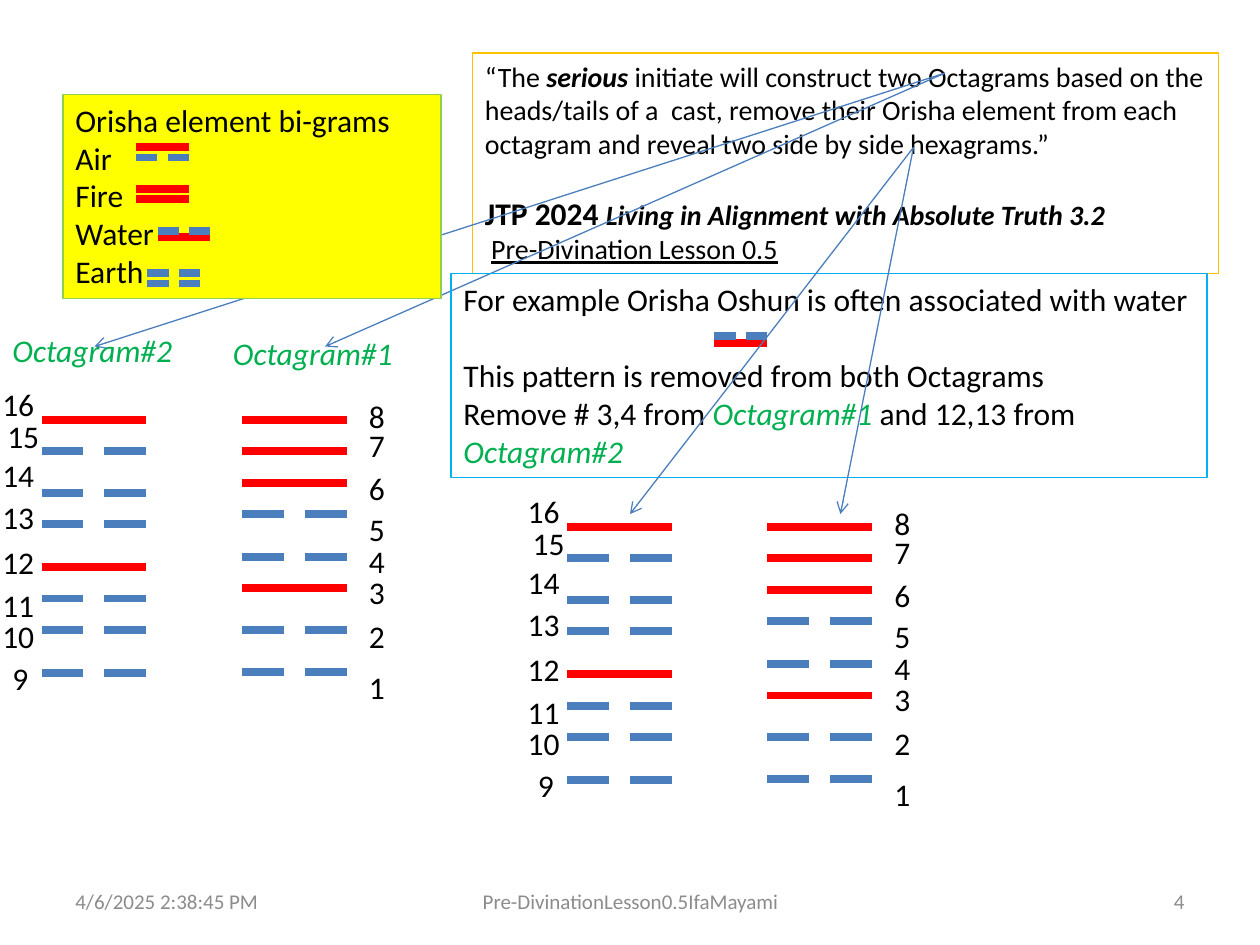
import pptx
import pptx.util
import pptx.dml.color
import pptx.enum.shapes
import pptx.enum.text
import pptx.oxml
import pptx.oxml.ns
from pptx.util import Inches

RGBColor = pptx.dml.color.RGBColor
Align = pptx.enum.text.PP_ALIGN
Anchor = pptx.enum.text.MSO_ANCHOR

BLACK = RGBColor(0x00, 0x00, 0x00)
GREY = RGBColor(0x8C, 0x8C, 0x8C)
RED = RGBColor(0xFF, 0x00, 0x00)
BLUE = RGBColor(0x4B, 0x7E, 0xBC)
GREEN = RGBColor(0x00, 0xB0, 0x50)
YELLOW = RGBColor(0xFF, 0xFF, 0x00)
LIME = RGBColor(0x92, 0xD0, 0x50)
AMBER = RGBColor(0xFF, 0xC0, 0x00)
SKY = RGBColor(0x00, 0xB0, 0xF0)
FONT = "Calibri"

BOLD_ITALIC = {"bold": True, "italic": True}
TERM = {"color": GREEN, "italic": True}

# Each paragraph is a list of (text, format) runs
QUOTE = [
    [("“The ", {}), ("serious", BOLD_ITALIC),
     (" initiate will construct two Octagrams based on the heads/tails of a  cast, "
      "remove their Orisha element from each octagram and reveal two side by side "
      "hexagrams.”", {})],
    [("JTP 2024 ", {"size": 18, "bold": True}),
     ("Living in Alignment with Absolute Truth 3.2", BOLD_ITALIC)],
    [(" ", BOLD_ITALIC), ("Pre-Divination Lesson 0.5", {"underline": True})],
]
ELEMENTS = [[(line, {})] for line in
            ("Orisha element bi-grams", "Air", "Fire", "Water", "Earth")]
EXAMPLE = [
    [("For example Orisha Oshun is often associated with water", {})],
    [("This pattern is removed from both Octagrams", {})],
    [("Remove # 3,4 from ", {}), ("Octagram#1", TERM),
     (" and 12,13 from ", {}), ("Octagram#2", TERM)],
]

# Bars are (top, broken); the red bar of water lies beneath the blue one
BIGRAMS = [
    (1.08, [(1.25, True), (1.17, False)]),
    (1.08, [(1.58, False), (1.5, False)]),
    (1.25, [(1.88, False), (1.83, True)]),
    (1.17, [(2.25, True), (2.17, True)]),
]
EXAMPLE_BIGRAM = (5.67, [(2.72, False), (2.67, True)])
BIGRAM_WIDTH, OCTAGRAM_WIDTH = 0.42, 0.83

# Rows are (number, bar height, broken, label left, label top)
OCTAGRAM_2 = (0.33, [
    (16, 3.33, False, -0.08, 3.01),
    (15, 3.58, True, -0.04, 3.26),
    (14, 3.91, True, -0.08, 3.57),
    (13, 4.16, True, -0.08, 3.9),
    (12, 4.5, False, -0.08, 4.26),
    (11, 4.75, True, -0.08, 4.6),
    (10, 5, True, -0.08, 4.85),
    (9, 5.34, True, 0, 5.18),
])
OCTAGRAM_1 = (1.92, [
    (8, 3.33, False, 2.83, 3.1),
    (7, 3.58, False, 2.83, 3.33),
    (6, 3.83, False, 2.83, 3.67),
    (5, 4.08, True, 2.83, 4),
    (4, 4.42, True, 2.83, 4.25),
    (3, 4.67, False, 2.83, 4.5),
    (2, 5, True, 2.83, 4.85),
    (1, 5.33, True, 2.83, 5.25),
])
OCTAGRAM_SHIFTS = [(0, 0), (4.17, 0.85)]

TITLE_ARROWS = [((7.5, 0.58), (0.75, 2.75)), ((7.5, 0.58), (2.58, 2.75))]
HEXAGRAM_ARROWS = [((7.25, 1.17), (6.67, 4.08)), ((7.25, 1.17), (5, 4.08))]

FOOTERS = [
    ("4/6/2025 2:38:45 PM", 0.5, 2.33, Align.LEFT),
    ("Pre-DivinationLesson0.5IfaMayami", 3.42, 3.17, Align.CENTER),
    ("4", 7.17, 2.33, Align.RIGHT),
]

prs = pptx.Presentation()
prs.slide_width, prs.slide_height = Inches(10), Inches(7.5)
shapes = prs.slides.add_slide(prs.slide_layouts[6]).shapes


def add_run(paragraph, text, size=18, color=BLACK, bold=False, italic=False,
            underline=False):
    run = paragraph.add_run()
    run.text = text
    font = run.font
    font.name, font.size, font.color.rgb = FONT, pptx.util.Pt(size), color
    font.bold, font.italic, font.underline = bold, italic, underline


def write(shape, paragraphs, size=18, align=Align.LEFT, anchor=Anchor.TOP,
          wrap=True, gaps=None):
    """Fill shape with paragraphs of runs; gaps maps paragraph index to points before."""
    frame = shape.text_frame
    frame.word_wrap, frame.vertical_anchor = wrap, anchor
    for i, runs in enumerate(paragraphs):
        paragraph = frame.add_paragraph() if i else frame.paragraphs[0]
        paragraph.alignment = align
        if gaps and i in gaps:
            paragraph.space_before = pptx.util.Pt(gaps[i])
        for text, style in runs:
            add_run(paragraph, text, **{"size": size, **style})


def add_label(text, left, top, width, style=None, **layout):
    label = shapes.add_textbox(*map(Inches, (left, top, width, 0.4)))
    write(label, [[(text, style or {})]], **layout)


def add_box(paragraphs, area, outline, fill=None, **layout):
    box = shapes.add_shape(pptx.enum.shapes.MSO_SHAPE.RECTANGLE, *map(Inches, area))
    box.shadow.inherit = False
    if fill is None:
        box.fill.background()
    else:
        box.fill.solid()
        box.fill.fore_color.rgb = fill
    box.line.color.rgb, box.line.width = outline, pptx.util.Pt(0.75)
    write(box, paragraphs, **layout)


def add_line(start, end, color=BLUE, width=4.5, arrow=False):
    line = shapes.add_connector(pptx.enum.shapes.MSO_CONNECTOR.STRAIGHT,
                                *map(Inches, (*start, *end)))
    line.line.color.rgb, line.line.width = color, pptx.util.Pt(width)
    properties = line._element.spPr
    qn = pptx.oxml.ns.qn
    if arrow:
        head = properties.find(qn("a:ln")).makeelement(qn("a:tailEnd"), {"type": "arrow"})
        properties.find(qn("a:ln")).append(head)
    properties.append(properties.makeelement(qn("a:effectLst"), {}))


def add_bar(left, top, width, broken):
    """A whole red bar, or two blue pieces of two fifths each."""
    piece = 0.4 * width if broken else width
    starts = (left, left + width - piece) if broken else (left,)
    for start in starts:
        add_line((start, top), (start + piece, top), BLUE if broken else RED)


def add_bigram(left, bars):
    for top, broken in bars:
        add_bar(left, top, BIGRAM_WIDTH, broken)


def add_octagram(left, rows, dx, dy):
    for number, top, broken, label_left, label_top in rows:
        add_bar(left + dx, top + dy, OCTAGRAM_WIDTH, broken)
        add_label(str(number), label_left + dx, label_top + dy,
                  0.46 if number > 9 else 0.33, wrap=False)


add_box(QUOTE, (3.75, 0.42, 5.92, 1.75), AMBER, size=16, gaps={1: 19.5})
for start, end in TITLE_ARROWS:
    add_line(start, end, width=0.75, arrow=True)
add_label("Octagram#1", 1.75, 2.6, 1.92, TERM)
add_label("Octagram#2", 0, 2.58, 1.92, TERM)

add_box(ELEMENTS, (0.5, 0.75, 3, 1.62), LIME, fill=YELLOW)
add_box(EXAMPLE, (3.58, 2.17, 6, 1.62), SKY, gaps={1: 22})
for bigram in [*BIGRAMS, EXAMPLE_BIGRAM]:
    add_bigram(*bigram)

for shift in OCTAGRAM_SHIFTS:
    for octagram in (OCTAGRAM_2, OCTAGRAM_1):
        add_octagram(*octagram, *shift)
for start, end in HEXAGRAM_ARROWS:
    add_line(start, end, width=0.75, arrow=True)

for text, left, width, align in FOOTERS:
    add_label(text, left, 6.95, width, {"color": GREY}, size=12, align=align,
              anchor=Anchor.MIDDLE)

prs.save("out.pptx")
